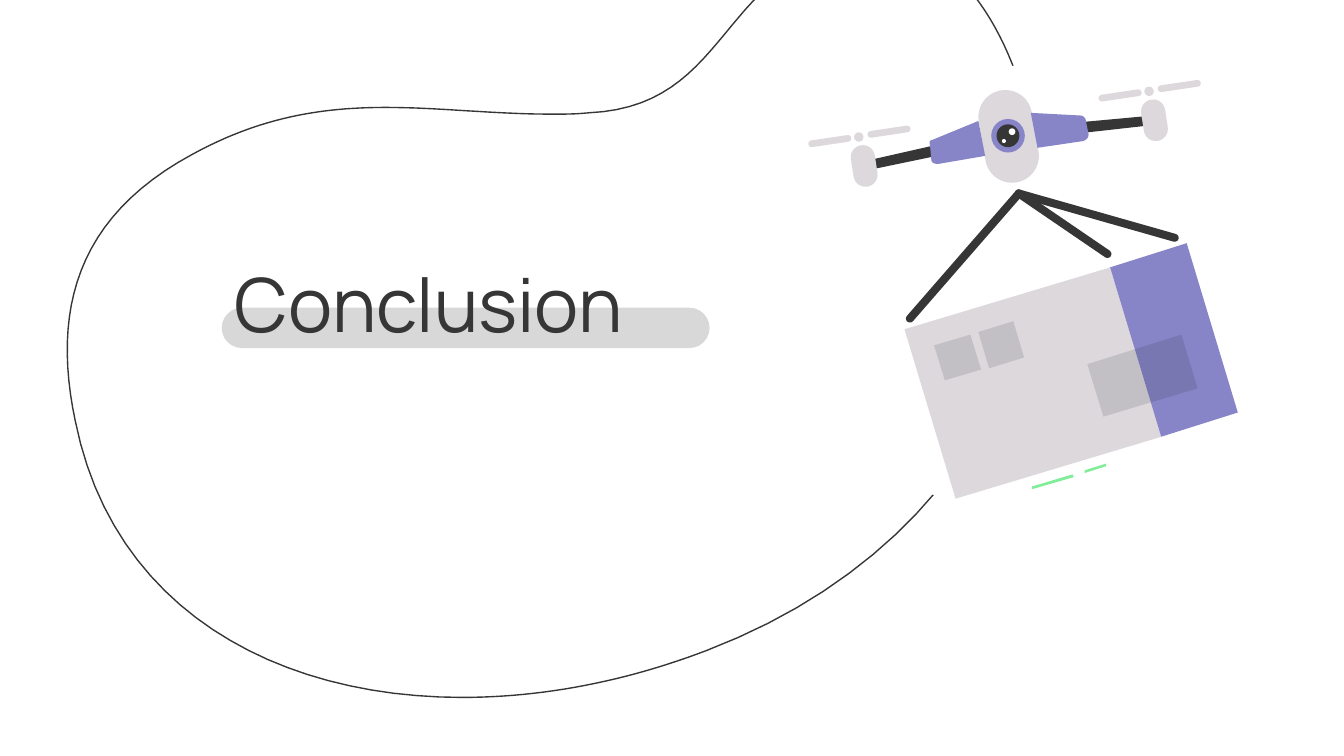
from math import atan2, degrees, hypot
from lxml.etree import SubElement
from pptx import Presentation
from pptx.dml.color import RGBColor
from pptx.enum.shapes import MSO_SHAPE
from pptx.enum.text import MSO_ANCHOR
from pptx.oxml.ns import qn
from pptx.util import Inches, Pt

THEME = {
    "ink": "363636", "mist": "DCD8DC", "violet": "8784C7", "green": "80ED99",
    "white": "FFFFFF", "bar": "D8D8D8", "shade": "1A2327",
    "font": "Manrope", "title": 40, "line": 0.75,
}

WIDE = 10
HIGH = WIDE * 9 / 16
TITLE = "Conclusion"

# Outlines: a pair is a straight step, six numbers are a cubic curve.
BLOB = [
    (6.51, -0.44),
    (6.36, -0.44, 6.19, -0.4, 6.01, -0.31), (5.34, 0.04, 5.29, 0.8, 4.38, 0.84),
    (4.29, 0.85, 4.2, 0.85, 4.11, 0.85), (3.67, 0.85, 3.27, 0.8, 2.87, 0.8),
    (2.4, 0.8, 1.94, 0.87, 1.43, 1.15), (0.56, 1.62, 0.39, 2.32, 0.56, 3.13),
    (0.84, 4.53, 2.05, 5.19, 3.44, 5.19), (4.04, 5.19, 4.66, 5.07, 5.26, 4.84),
    (7.17, 4.11, 8.05, 2.42, 7.62, 0.74), (7.48, 0.23, 7.12, -0.44, 6.51, -0.44),
]
PARCEL = [  # outline, colour, opacity in percent
    ([(7.98, 3.53), (7.68, 3.62), (7.68, 3.64), (7.99, 3.55)], "green", 100),
    ([(8.23, 3.45), (8.07, 3.5), (8.07, 3.52), (8.23, 3.47)], "green", 100),
    ([(8.26, 1.99), (6.73, 2.45), (7.11, 3.71), (8.64, 3.25)], "mist", 100),
    ([(8.83, 1.81), (8.26, 1.99), (8.64, 3.25), (9.21, 3.07)], "violet", 100),
    ([(8.79, 2.49), (8.09, 2.71), (8.21, 3.1), (8.91, 2.89)], "shade", 13),
    ([(7.22, 2.49), (6.95, 2.57), (7.03, 2.83), (7.3, 2.75)], "shade", 13),
    ([(7.54, 2.39), (7.28, 2.47), (7.36, 2.74), (7.62, 2.66)], "shade", 13),
]
BODY = ((7.48, 0.87), (7.53, 1.16), 0.4)
EYE = [  # centre, diameter, colour
    ((7.5, 1.01), 0.25, "violet"), ((7.5, 1.01), 0.17, "ink"),
    ((7.53, 0.98), 0.05, "white"), ((7.47, 1.05), 0.03, "white"),
]
ARMS = [
    [(8.58, 0.86), (8.04, 0.91), (8.05, 0.99), (8.59, 0.93)],
    [(6.96, 1.08), (6.43, 1.2), (6.44, 1.27), (6.97, 1.16)],
]
WINGS = [
    [(7.67, 0.84), (7.72, 1.1), (8.06, 1.05), (8.09, 1.04, 8.1, 1.02, 8.1, 1),
     (8.08, 0.9), (8.08, 0.88, 8.06, 0.86, 8.04, 0.86)],
    [(7.28, 0.9), (6.94, 1.04), (6.92, 1.04, 6.91, 1.06, 6.92, 1.08),
     (6.93, 1.19), (6.93, 1.21, 6.95, 1.22, 6.98, 1.22), (7.33, 1.16)],
]
HUBS = [(8.55, 0.68), (6.39, 1.02)]
ROTOR = [  # ends measured from the hub, thickness
    ((0.03, 0.15), (0.05, 0.28), 0.18),
    ((-0.35, 0.05), (-0.08, 0.01), 0.05),
    ((0.09, -0.02), (0.36, -0.06), 0.05),
]
KNOT = (7.58, 1.44)
HOOKS = [(8.74, 1.77), (8.24, 1.89), (6.77, 2.37)]


def paint(shape, fill=None, line=None, alpha=100):
    shape.shadow.inherit = False
    if fill:
        shape.fill.solid()
        shape.fill.fore_color.rgb = RGBColor.from_string(THEME[fill])
        if alpha < 100:
            tint = shape.fill._xPr.find(".//" + qn("a:srgbClr"))
            SubElement(tint, qn("a:alpha"), val=str(alpha * 1000))
    else:
        shape.fill.background()
    if line:
        shape.line.color.rgb = RGBColor.from_string(THEME[line])
        shape.line.width = Pt(THEME["line"])
    else:
        shape.line.fill.background()


def trace(steps, count):
    """Turn straight and curved steps into a list of points."""
    dots = [steps[0]]
    for step in steps[1:]:
        if len(step) == 2:
            dots.append(step)
            continue
        knots = [dots[-1], step[:2], step[2:4], step[4:]]
        for i in range(1, count + 1):
            t = i / count
            parts = ((1 - t) ** 3, 3 * t * (1 - t) ** 2, 3 * t * t * (1 - t), t ** 3)
            dots.append(tuple(sum(w * k[axis] for w, k in zip(parts, knots))
                              for axis in (0, 1)))
    return dots


def outline(shapes, steps, count=6, **look):
    dots = [(Inches(x), Inches(y)) for x, y in trace(steps, count)]
    pen = shapes.build_freeform(*dots[0])
    pen.add_line_segments(dots[1:], close=True)
    paint(pen.convert_to_shape(), **look)


def block(shapes, kind, left, top, wide, high, **look):
    shape = shapes.add_shape(kind, *map(Inches, (left, top, wide, high)))
    paint(shape, **look)
    return shape


def disc(shapes, mid, size, fill):
    x, y = mid
    block(shapes, MSO_SHAPE.OVAL, x - size / 2, y - size / 2, size, size, fill=fill)


def pill(shapes, start, end, thick, fill):
    """Draw a round-ended bar whose end caps are centred on start and end."""
    (x1, y1), (x2, y2) = start, end
    wide = hypot(x2 - x1, y2 - y1) + thick
    bar = block(shapes, MSO_SHAPE.ROUNDED_RECTANGLE, (x1 + x2 - wide) / 2,
                (y1 + y2 - thick) / 2, wide, thick, fill=fill)
    bar.adjustments[0] = 0.5
    bar.rotation = degrees(atan2(y2 - y1, x2 - x1))


def write(shapes, text, at, size, color):
    box = shapes.add_textbox(*map(Inches, at))
    frame = box.text_frame
    frame.word_wrap = True
    frame.vertical_anchor = MSO_ANCHOR.TOP
    frame.margin_left = frame.margin_right = Inches(0.1)
    frame.margin_top = frame.margin_bottom = Inches(0.1)
    run = frame.paragraphs[0].add_run()
    run.text = text
    run.font.name = THEME["font"]
    run.font.size = Pt(size)
    run.font.color.rgb = RGBColor.from_string(THEME[color])


def drone(art):
    pill(art, *BODY, fill="mist")
    for mid, size, color in EYE:
        disc(art, mid, size, color)
    for arm in ARMS:
        outline(art, arm, fill="ink")
    for wing in WINGS:
        outline(art, wing, fill="violet")
    for x, y in HUBS:
        disc(art, (x, y), 0.07, "mist")
        for (ax, ay), (bx, by), thick in ROTOR:
            pill(art, (x + ax, y + ay), (x + bx, y + by), thick, "mist")
    for hook in HOOKS:
        pill(art, KNOT, hook, 0.06, "ink")


def main():
    deck = Presentation()
    deck.slide_width, deck.slide_height = Inches(WIDE), Inches(HIGH)
    shapes = deck.slides.add_slide(deck.slide_layouts[6]).shapes

    outline(shapes, BLOB, count=24, line="ink")
    pill(shapes, (1.8, 2.44), (5.13, 2.44), 0.3, "bar")
    write(shapes, TITLE, (1.65, 1.82, 4.23, 0.79), THEME["title"], "ink")

    art = shapes.add_group_shape().shapes
    disc(art, (7.8, 2.19), 3.44, "white")
    for steps, color, alpha in PARCEL:
        outline(art, steps, fill=color, alpha=alpha)
    drone(art)
    deck.save("out.pptx")


if __name__ == "__main__":
    main()
